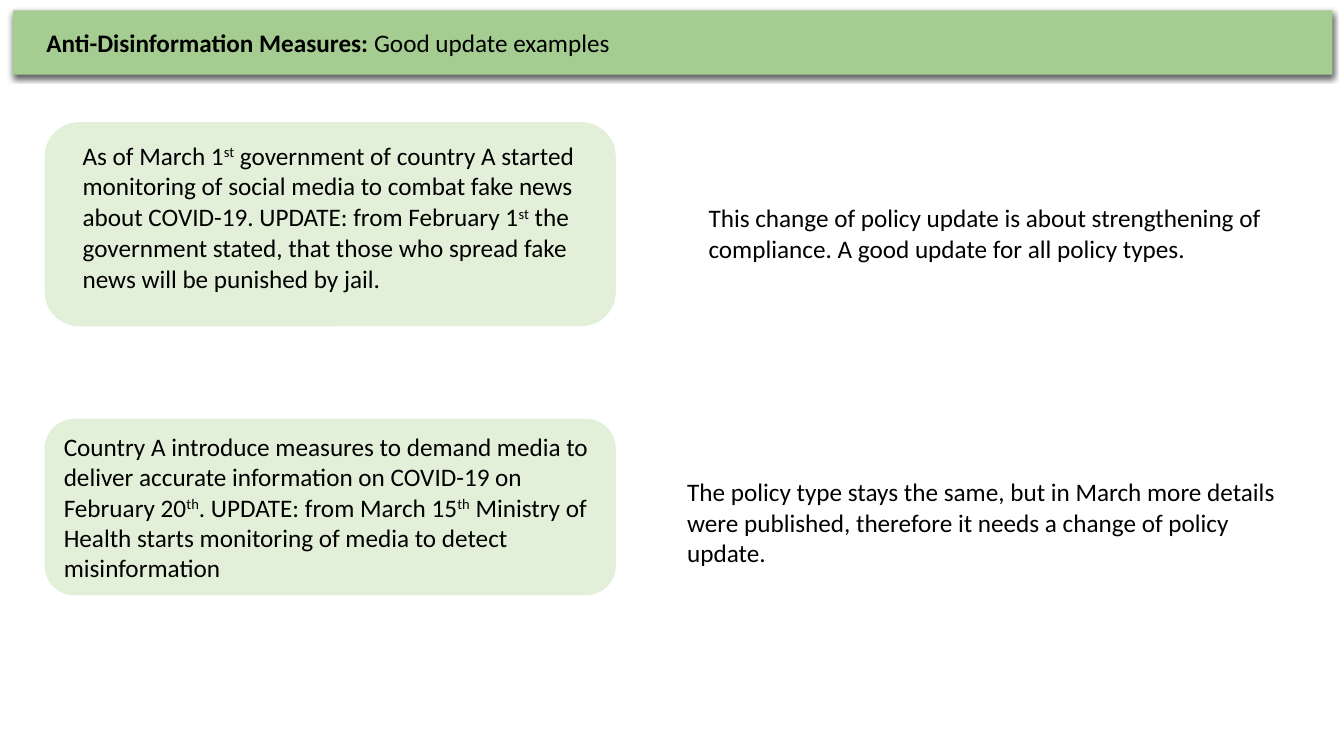
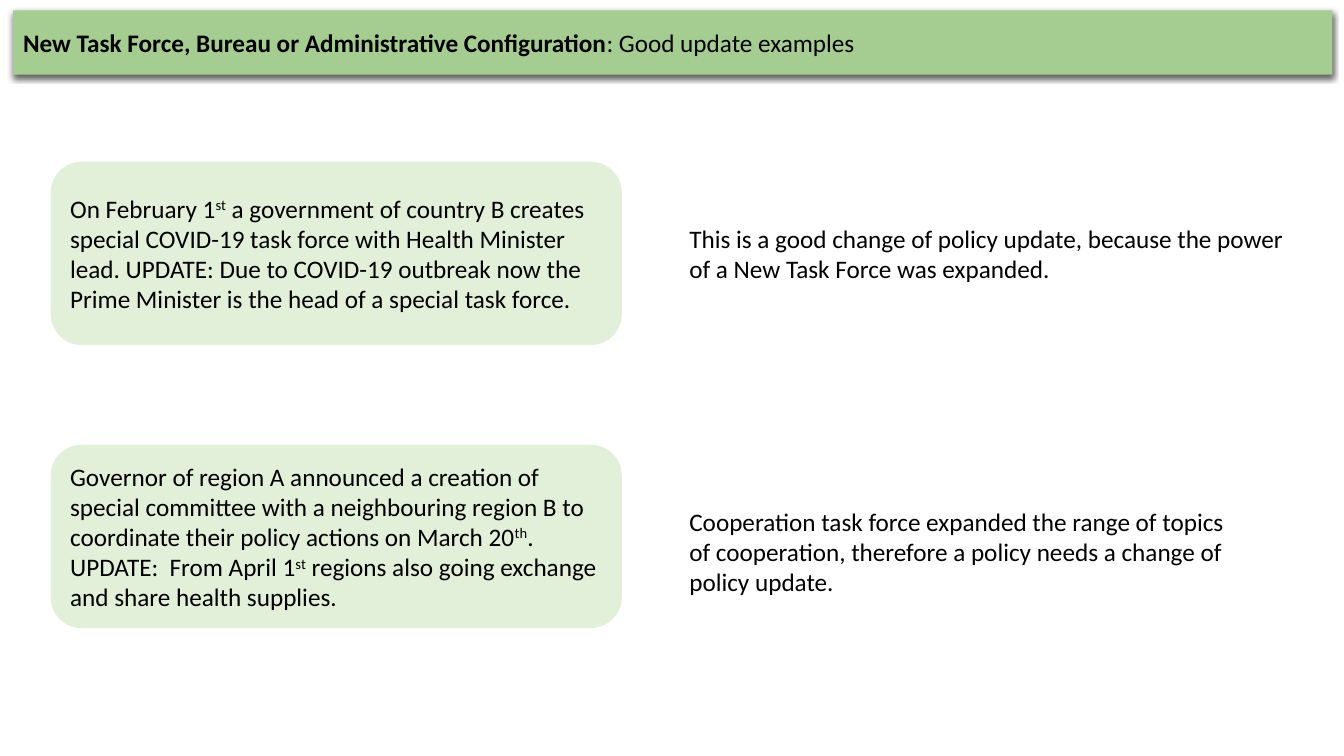
"""Build two slides of good policy update examples."""
from dataclasses import dataclass

from lxml.etree import SubElement
from pptx import Presentation
from pptx.dml.color import RGBColor
from pptx.enum.shapes import MSO_SHAPE
from pptx.enum.text import MSO_ANCHOR, MSO_AUTO_SIZE, PP_ALIGN
from pptx.oxml.ns import qn
from pptx.util import Pt


@dataclass(frozen=True)
class Theme:
    band: RGBColor = RGBColor(0xA5, 0xCD, 0x92)
    card: RGBColor = RGBColor(0xE2, 0xF0, 0xD9)
    text: RGBColor = RGBColor(0, 0, 0)
    font: str = "Calibri"
    size: Pt = Pt(18)
    plain_table: str = "{2D5ABB26-0587-4C30-8999-92F81FD0307C}"


theme = Theme()
CARD_W = 407

SLIDES = [
    {
        "title": ("Anti-Disinformation Measures: ", "Good update examples"),
        "title_left": 26,
        "card_left": 32.4,
        "examples": [
            {
                "card": (87.8, 144.8),
                "table": (51.8, 97.2, 387.4, 116.6),
                "text": "As of March 1^st^ government of country A started monitoring of social media "
                        "to combat fake news about COVID-19. UPDATE: from February 1^st^ the government "
                        "stated, that those who spread fake news will be punished by jail.",
                "note": (499, 141.2, 428.4, 51),
                "remarks": ["This change of policy update is about strengthening of compliance. "
                            "A good update for all policy types."],
            },
            {
                "card": (299.6, 125.2),
                "text": "Country A introduce measures to demand media to deliver accurate information "
                        "on COVID-19 on February 20^th^. UPDATE: from March 15^th^ Ministry of Health "
                        "starts monitoring of media to detect misinformation",
                "note": (483.8, 337, 437, 72.7),
                "remarks": ["The policy type stays the same, but in March more details were published, "
                            "therefore it needs a change of policy update."],
            },
        ],
    },
    {
        "title": ("New Task Force, Bureau or Administrative Configuration", ": Good update examples"),
        "title_left": 9.4,
        "card_left": 36.7,
        "examples": [
            {
                "card": (116, 130),
                "text": "On February 1^st^ a government of country B creates special COVID-19 task force "
                        "with Health Minister lead. UPDATE: Due to COVID-19 outbreak now the Prime "
                        "Minister is the head of a special task force.",
                "note": (485.3, 155.8, 448.6, 51),
                "remarks": ["This is a good change of policy update, because the power of a New Task "
                            "Force was expanded."],
            },
            {
                "card": (318.2, 130),
                "text": "Governor of region A announced a creation of special committee with a "
                        "neighbouring region B to coordinate their policy actions on March 20^th^. "
                        "UPDATE:  From April 1^st^ regions also going exchange and share health supplies.",
                "note": (485.3, 357.8, 437.8, 72.7),
                "remarks": ["Cooperation task force expanded the range of topics",
                            "of cooperation, therefore a policy needs a change of policy update."],
            },
        ],
    },
]


def add_runs(p, text, bold=False):
    """Add text to a paragraph, raising the parts between carets."""
    p.alignment = PP_ALIGN.LEFT
    for i, part in enumerate(text.split("^")):
        r = p.add_run()
        r.text = part
        r.font.name = theme.font
        r.font.size = theme.size
        r.font.bold = bold
        r.font.color.rgb = theme.text
        if i % 2:
            r.font._element.set("baseline", "30000")


def add_box(s, box, shape=None, fill=None):
    """Add a filled shape, or a wrapping text box if no shape is given."""
    box = [Pt(v) for v in box]
    if shape is None:
        sp = s.shapes.add_textbox(*box)
        sp.text_frame.auto_size = MSO_AUTO_SIZE.SHAPE_TO_FIT_TEXT
    else:
        sp = s.shapes.add_shape(shape, *box)
        sp.shadow.inherit = False
        sp.fill.solid()
        sp.fill.fore_color.rgb = fill
        sp.text_frame.vertical_anchor = MSO_ANCHOR.MIDDLE
    sp.text_frame.word_wrap = True
    return sp


prs = Presentation()
prs.slide_width, prs.slide_height = Pt(960), Pt(540)

for page in SLIDES:
    s = prs.slides.add_slide(prs.slide_layouts[6])

    band = add_box(s, (9.4, 7.4, 942.4, 46), MSO_SHAPE.RECTANGLE, theme.band)
    band.line.fill.background()
    effects = band._element.spPr.find(qn("a:effectLst"))
    shadow = SubElement(effects, qn("a:outerShdw"), blurRad=str(Pt(4.5)), dist=str(Pt(1.5)),
                        dir="5400000", algn="ctr", rotWithShape="0")
    color = SubElement(shadow, qn("a:srgbClr"), val=str(theme.text))
    SubElement(color, qn("a:alpha"), val="63000")

    title = add_box(s, (page["title_left"], 16, 667.4, 29))
    topic, subject = page["title"]
    p = title.text_frame.paragraphs[0]
    add_runs(p, topic, bold=True)
    add_runs(p, subject)

    for example in page["examples"]:
        top, height = example["card"]
        card = add_box(s, (page["card_left"], top, CARD_W, height),
                       MSO_SHAPE.ROUNDED_RECTANGLE, theme.card)
        card.line.color.rgb = theme.card
        card.line.width = Pt(1)
        holder = card
        if "table" in example:
            tbl = s.shapes.add_table(1, 1, *[Pt(v) for v in example["table"]]).table
            tbl.first_row = tbl.horz_banding = False
            tbl._tbl.tblPr.find(qn("a:tableStyleId")).text = theme.plain_table
            holder = tbl.cell(0, 0)
            holder.fill.background()
            holder.vertical_anchor = MSO_ANCHOR.MIDDLE
        add_runs(holder.text_frame.paragraphs[0], example["text"])

        tf = add_box(s, example["note"]).text_frame
        for i, remark in enumerate(example["remarks"]):
            p = tf.add_paragraph() if i else tf.paragraphs[0]
            add_runs(p, remark)

prs.save("out.pptx")
